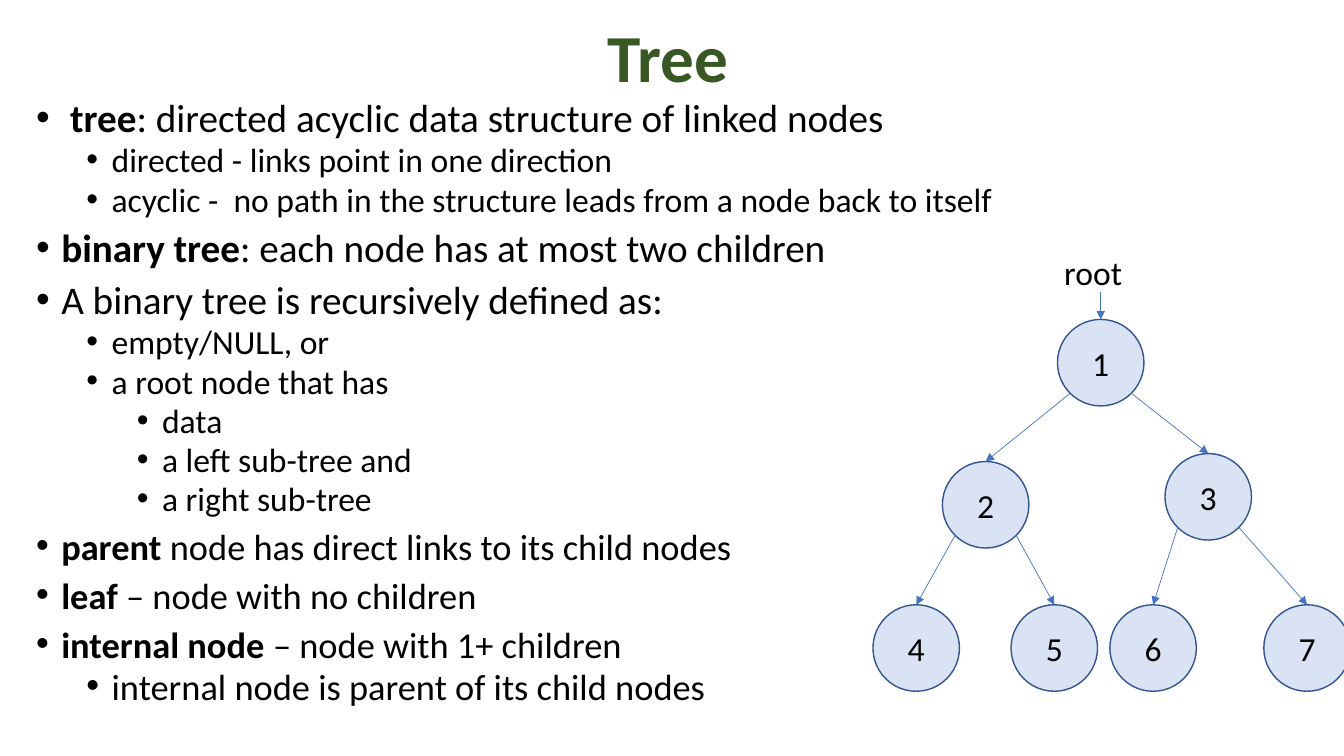
from dataclasses import dataclass
from math import sqrt

from lxml import etree
from pptx import Presentation
from pptx.dml.color import RGBColor
from pptx.enum.shapes import MSO_CONNECTOR, MSO_SHAPE
from pptx.enum.text import MSO_ANCHOR, PP_ALIGN
from pptx.oxml.ns import qn
from pptx.util import Cm, Pt

LINE = MSO_CONNECTOR.STRAIGHT
OVAL = MSO_SHAPE.OVAL
MIDDLE, TOP = MSO_ANCHOR.MIDDLE, MSO_ANCHOR.TOP
CENTER, LEFT = PP_ALIGN.CENTER, PP_ALIGN.LEFT


@dataclass(frozen=True)
class Theme:
    font: str = "Calibri"
    ink: str = "000000"
    green: str = "385723"
    fill: str = "DAE3F3"
    edge: str = "325491"
    link: str = "4472C4"
    title: int = 48
    large: int = 28
    medium: int = 26
    small: int = 24


DIAM = 2.18  # node diameter, cm

# Level, size, runs (text, bold)
T = Theme()
POINTS = [
    (0, T.large, [(" ", False), ("tree", True),
                  (": directed acyclic data structure of linked nodes", False)]),
    (1, T.small, [("directed - links point in one direction", False)]),
    (1, T.small, [("acyclic -  no path in the structure leads from a node back to itself", False)]),
    (0, T.large, [("binary tree", True), (": each node has at most two children", False)]),
    (0, T.large, [("A binary tree is recursively defined as:", False)]),
    (1, T.small, [("empty/NULL, or", False)]),
    (1, T.small, [("a root node that has", False)]),
    (2, T.small, [("data", False)]),
    (2, T.small, [("a left sub-tree and", False)]),
    (2, T.small, [("a right sub-tree", False)]),
    (0, T.medium, [("parent", True), (" node has direct links to its child nodes", False)]),
    (0, T.medium, [("leaf ", True), ("– node with no children", False)]),
    (0, T.medium, [("internal node ", True), ("– node with 1+ children", False)]),
    (1, T.medium, [("internal node is parent of its child nodes", False)]),
]

# Number: centre x and top, cm
NODES = {
    1: (27.74, 8.05),
    2: (24.84, 11.63),
    3: (30.45, 11.43),
    4: (23.09, 15.24),
    5: (26.57, 15.24),
    6: (29.06, 15.24),
    7: (32.94, 15.24),
}


class Deck:
    def __init__(self, theme, slide):
        self.theme = theme
        self.shapes = slide.shapes

    def run(self, para, text, size, color, bold=False):
        run = para.add_run()
        run.text = text
        font = run.font
        font.name = self.theme.font
        font.size = Pt(size)
        font.bold = bold
        font.color.rgb = RGBColor.from_string(color)

    def box(self, x, y, w, h, anchor=TOP):
        frame = self.shapes.add_textbox(Cm(x), Cm(y), Cm(w), Cm(h)).text_frame
        frame.word_wrap = True
        frame.vertical_anchor = anchor
        return frame

    def label(self, text, x, y, w, h, size, color, bold=False, align=LEFT, anchor=TOP):
        para = self.box(x, y, w, h, anchor).paragraphs[0]
        para.alignment = align
        self.run(para, text, size, color, bold)

    def bullets(self, items, x, y, w, h):
        frame = self.box(x, y, w, h)
        for i, (level, size, runs) in enumerate(items):
            para = frame.add_paragraph() if i else frame.paragraphs[0]
            para.level = level
            props = para._p.get_or_add_pPr()
            props.set("marL", str(Cm(0.635 + 1.27 * level)))
            props.set("indent", str(-Cm(0.635)))
            etree.SubElement(props, qn("a:buFont")).set("typeface", "Arial")
            etree.SubElement(props, qn("a:buChar")).set("char", "•")
            para.line_spacing = 0.8
            if i:
                para.space_before = Pt(5 if level else 10)
            for text, bold in runs:
                self.run(para, text, size, self.theme.ink, bold)

    def node(self, text, x, y):
        oval = self.shapes.add_shape(OVAL, Cm(x - DIAM / 2), Cm(y), Cm(DIAM), Cm(DIAM))
        oval.shadow.inherit = False
        oval.fill.solid()
        oval.fill.fore_color.rgb = RGBColor.from_string(self.theme.fill)
        oval.line.color.rgb = RGBColor.from_string(self.theme.edge)
        oval.line.width = Pt(1)
        frame = oval.text_frame
        frame.vertical_anchor = MIDDLE
        para = frame.paragraphs[0]
        para.alignment = CENTER
        self.run(para, text, self.theme.small, self.theme.ink)
        return oval

    def arrow(self, x, y, node):
        link = self.shapes.add_connector(LINE, Cm(x), Cm(y), Cm(x), Cm(y))
        link.end_connect(node, 0)
        link.line.color.rgb = RGBColor.from_string(self.theme.link)
        link.line.width = Pt(0.5)
        etree.SubElement(link.line._get_or_add_ln(), qn("a:tailEnd")).set("type", "triangle")
        etree.SubElement(link._element.spPr, qn("a:effectLst"))


def main():
    prs = Presentation()
    prs.slide_width, prs.slide_height = Cm(33.87), Cm(19.05)
    deck = Deck(T, prs.slides.add_slide(prs.slide_layouts[6]))

    # Title and definitions
    deck.label("Tree", 2.16, 0.36, 29.36, 2.11, T.title, T.green, True, CENTER, MIDDLE)
    deck.bullets(POINTS, 0.66, 2.46, 30.89, 16.03)

    # Tree nodes
    ovals = {n: deck.node(str(n), x, y) for n, (x, y) in NODES.items()}

    # Links leave each parent at 45 degrees; node n has children 2n and 2n + 1
    reach = DIAM / 2 / sqrt(2)
    for child in range(2, 8):
        x, y = NODES[child // 2]
        side = 1 if child % 2 else -1
        deck.arrow(x + side * reach, y + DIAM / 2 + reach, ovals[child])

    # Root pointer
    deck.label("root", 26.57, 6.22, 4.11, 1.27, T.small, T.ink)
    deck.arrow(NODES[1][0], 7.37, ovals[1])

    prs.save("out.pptx")


if __name__ == "__main__":
    main()
